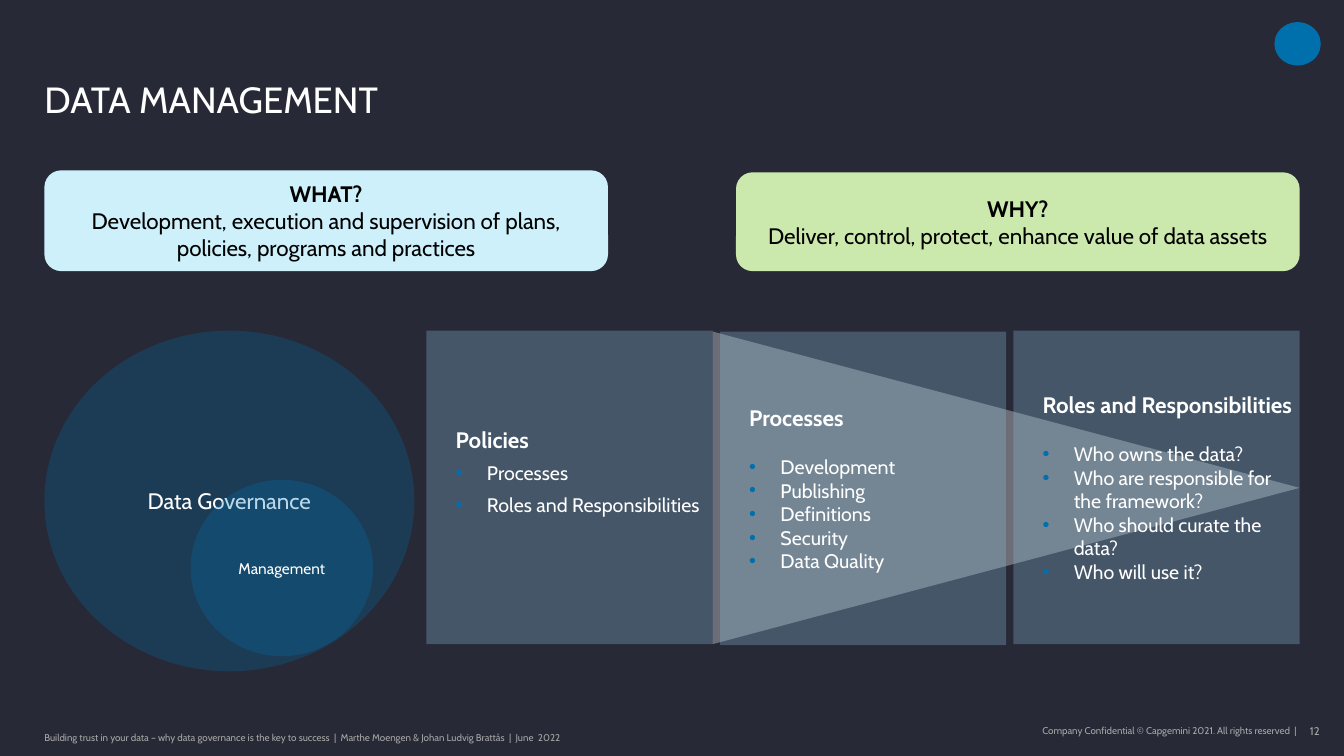
from lxml.etree import SubElement
from pptx import Presentation
from pptx.dml.color import RGBColor
from pptx.enum.shapes import MSO_SHAPE
from pptx.enum.text import MSO_ANCHOR, MSO_AUTO_SIZE, PP_ALIGN
from pptx.oxml.ns import qn
from pptx.util import Inches, Pt

FONT = "Cabin"
COLORS = {
    "background": "272936",
    "white": "FFFFFF",
    "black": "000000",
    "what": "CDF0FB",
    "why": "CCE9AD",
    "blue": "0070AD",
    "panel": "88BCD9",
    "footer": "A6A6A6",
}
LEFT = 0.44
RIGHT = 12.89
PANELS = [
    ("Policies", ["Processes", "Roles and Responsibilities"],
     {"top": 3.28, "heading_gap": 6, "item_gap": 6, "bottom_inset": 0.32}),
    ("Processes", ["Development", "Publishing", "Definitions", "Security", "Data Quality"],
     {"top": 3.29}),
    ("Roles and Responsibilities",
     ["Who owns the data?", "Who are responsible for the framework?",
      "Who should curate the data?", "Who will use it?"],
     {"top": 3.28}),
]


def color(name):
    return RGBColor.from_string(COLORS[name])


def fill_shape(shape, name, opacity=100):
    shape.fill.solid()
    shape.fill.fore_color.rgb = color(name)
    if opacity < 100:
        value = shape.fill._xPr.find(qn("a:solidFill"))[0]
        SubElement(value, qn("a:alpha"), val=str(opacity * 1000))


def place(shape, box):
    shape.left, shape.top, shape.width, shape.height = map(Inches, box)


def prepare_frame(shape, anchor=MSO_ANCHOR.MIDDLE, insets=(0, 0, 0, 0)):
    frame = shape.text_frame
    frame.word_wrap = True
    frame.auto_size = MSO_AUTO_SIZE.NONE
    frame.vertical_anchor = anchor
    (frame.margin_left, frame.margin_top,
     frame.margin_right, frame.margin_bottom) = map(Inches, insets)
    return frame


def write(frame, text, size=16, bold=False, name="white", align=PP_ALIGN.LEFT,
          bullet=None, indent=(0, 0), after=0, spacing=1.0):
    first = frame.paragraphs[0]
    paragraph = frame.add_paragraph() if first.runs else first
    properties = paragraph._p.get_or_add_pPr()
    properties.set("marL", str(Inches(indent[0])))
    properties.set("indent", str(Inches(indent[1])))
    if bullet:
        bullet_color = SubElement(properties, qn("a:buClr"))
        SubElement(bullet_color, qn("a:srgbClr"), val=COLORS["blue"])
        SubElement(properties, qn("a:buFont"), typeface="Arial")
        SubElement(properties, qn("a:buChar"), char=bullet)
    else:
        SubElement(properties, qn("a:buNone"))
    paragraph.alignment = align
    paragraph.line_spacing = spacing
    paragraph.space_before = Pt(0)
    paragraph.space_after = Pt(after)
    run = paragraph.add_run()
    run.text = text
    run.font.name = FONT
    run.font.size = Pt(size)
    run.font.bold = bold
    run.font.color.rgb = color(name)


def add_plain_shape(slide, kind, box, fill, opacity=100):
    shape = slide.shapes.add_shape(kind, *map(Inches, box))
    shape.shadow.inherit = False
    shape.line.fill.background()
    fill_shape(shape, fill, opacity)
    return shape


def fill_title(slide, box):
    title = slide.shapes.title
    place(title, box)
    frame = prepare_frame(title, MSO_ANCHOR.BOTTOM)
    write(frame, "DATA MANAGEMENT", size=26, spacing=0.9)


def add_question(slide, box, question, answer, fill):
    shape = add_plain_shape(slide, MSO_SHAPE.ROUNDED_RECTANGLE, box, fill)
    frame = prepare_frame(shape, insets=(0.1, 0.05, 0.1, 0.05))
    write(frame, question, bold=True, name="black", align=PP_ALIGN.CENTER)
    write(frame, answer, name="black", align=PP_ALIGN.CENTER)


def add_governance(slide, box):
    left, top, width, height = box
    inner_box = (left + 1.45, top + 1.48, 1.81, 1.75)
    for label, size, oval_box in (("Data Governance", 16, box), ("Management", 11, inner_box)):
        oval = add_plain_shape(slide, MSO_SHAPE.OVAL, oval_box, "blue", 27)
        frame = prepare_frame(oval, insets=(0.1, 0.05, 0.1, 0.05))
        write(frame, label, size=size, align=PP_ALIGN.CENTER)


def fill_panel(placeholder, box, heading, items, heading_gap=17, item_gap=0, bottom_inset=0):
    place(placeholder, box)
    fill_shape(placeholder, "panel", 31)
    frame = prepare_frame(placeholder, insets=(0, 0, 0, bottom_inset))
    write(frame, heading, bold=True, indent=(0.29, 0), after=heading_gap)
    for item in items:
        write(frame, item, size=14, bullet="•", indent=(0.6, -0.31), after=item_gap)


def add_panels(slide, left, width, height, pitch):
    placeholders = [item for item in slide.placeholders if item.placeholder_format.idx > 0]
    for index, (heading, items, options) in enumerate(PANELS):
        layout = dict(options)
        box = (left + index * pitch, layout.pop("top"), width, height)
        fill_panel(placeholders[index], box, heading, items, **layout)
    for unused in placeholders[len(PANELS):]:
        unused._element.getparent().remove(unused._element)


def add_funnel(slide, box):
    left, top, width, height = box
    upright = (left + (width - height) / 2, top + (height - width) / 2, height, width)
    funnel = add_plain_shape(slide, MSO_SHAPE.ISOSCELES_TRIANGLE, upright, "white", 32)
    funnel.rotation = 90
    slide.shapes._spTree.insert(2, funnel._element)


def add_footer(slide, top):
    entries = [
        ((LEFT, top, 6.07, 0.37), 7, PP_ALIGN.LEFT,
         "Building trust in your data – why data governance is the key to success  |  "
         "Marthe Moengen & Johan Ludvig Brattås  |  June  2022"),
        ((7.9, top, 4.96, 0.24), 7, PP_ALIGN.RIGHT,
         "Company Confidential © Capgemini 2021. All rights reserved  |"),
        ((12.84, top, 0.25, 0.24), 8, PP_ALIGN.RIGHT, "12"),
    ]
    for box, size, align, text in entries:
        shape = slide.shapes.add_textbox(*map(Inches, box))
        write(prepare_frame(shape), text, size=size, name="footer", align=align)


def main():
    presentation = Presentation()
    presentation.slide_width = Inches(13.33)
    presentation.slide_height = Inches(7.5)
    slide = presentation.slides.add_slide(presentation.slide_layouts.get_by_name("Comparison"))
    slide.background.fill.solid()
    slide.background.fill.fore_color.rgb = color("background")

    add_plain_shape(slide, MSO_SHAPE.OVAL, (12.64, 0.22, 0.46, 0.43), "blue")
    fill_title(slide, (LEFT, 0.42, 11.97, 0.78))
    add_question(slide, (LEFT, 1.69, 5.59, 1), "WHAT?",
                 "Development, execution and supervision of plans, "
                 "policies, programs and practices", "what")
    add_question(slide, (RIGHT - 5.59, 1.71, 5.59, 0.98), "WHY?",
                 "Deliver, control, protect, enhance value of data assets", "why")
    add_governance(slide, (LEFT, 3.28, 3.67, 3.38))
    add_panels(slide, 4.23, 2.84, 3.11, 2.91)
    add_funnel(slide, (RIGHT - 5.82, 3.29, 5.82, 3.1))
    add_footer(slide, 7.13)
    presentation.save("out.pptx")


if __name__ == "__main__":
    main()
